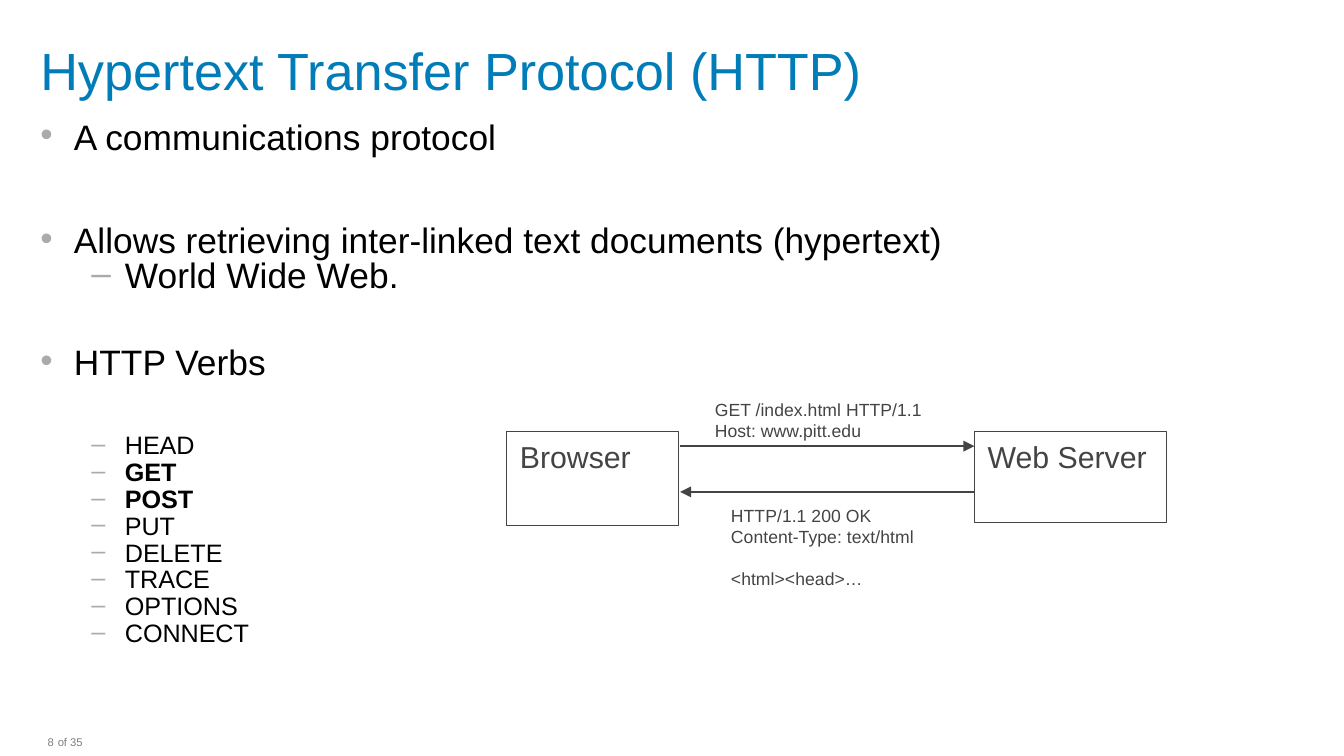
import pptx
import pptx.dml.color
import pptx.enum.shapes
import pptx.enum.text
import pptx.oxml
import pptx.oxml.ns
import pptx.util
from pptx.util import Inches

GRAY, BULLET, BLACK = "444444", "AAAAAA", "000000"
NS = pptx.oxml.ns.nsdecls("a")


def rgb(color):
    return pptx.dml.color.RGBColor.from_string(color)


def add_text(sp, text, size, color=GRAY, bold=False, align="LEFT", spacing=None,
             before=0, bullet=None, left=0):
    """Fill the first paragraph of a shape, or append one if it has text."""
    tf = sp.text_frame
    p = tf.add_paragraph() if tf.text else tf.paragraphs[0]
    p.alignment = getattr(pptx.enum.text.PP_ALIGN, align)
    p.space_before = pptx.util.Pt(before)
    if spacing:
        p.line_spacing = spacing
    if bullet:
        pPr = p._p.get_or_add_pPr()
        pPr.set("marL", str(Inches(left)))
        pPr.set("indent", str(Inches(-0.25)))
        for xml in (f'<a:buClr {NS}><a:srgbClr val="{BULLET}"/></a:buClr>',
                    f'<a:buFont {NS} typeface="Arial"/>',
                    f'<a:buChar {NS} char="{bullet}"/>'):
            pPr.append(pptx.oxml.parse_xml(xml))
    r = p.add_run()
    r.text = text
    r.font.name = "Arial"
    r.font.size = pptx.util.Pt(size)
    r.font.bold = bold
    r.font.color.rgb = rgb(color)


prs = pptx.Presentation()
prs.slide_width = Inches(10)
prs.slide_height = Inches(10 * 9 / 16)
s = prs.slides.add_slide(prs.slide_layouts[6])

# Text boxes: place, inner margins (side, top and bottom), wrapping
boxes = {}
for name, place, side, edge, wrap in [
    ("page", (0.3, 5.48, 0.1, 0.09), 0, 0, True),
    ("total", (0.43, 5.48, 0.19, 0.09), 0, 0, False),
    ("title", (0.3, 0.29, 8.7, 0.49), 0, 0.05, True),
    ("body", (0.3, 0.94, 8.7, 4), 0, 0, True),
    ("request", (5.22, 2.92, 1.8, 0.42), 0.1, 0.05, True),
    ("reply", (5.34, 3.71, 1.58, 0.74), 0.1, 0.05, False),
]:
    sp = s.shapes.add_textbox(*map(Inches, place))
    tf = sp.text_frame
    tf.word_wrap = wrap
    tf.margin_left = tf.margin_right = Inches(side)
    tf.margin_top = tf.margin_bottom = Inches(edge)
    boxes[name] = sp

for name, text, align in [("page", "8", "RIGHT"), ("total", "of 35", "LEFT")]:
    boxes[name].text_frame.vertical_anchor = pptx.enum.text.MSO_ANCHOR.MIDDLE
    add_text(boxes[name], text, 6, "7F7F7F", align=align, spacing=0.9)
add_text(boxes["title"], "Hypertext Transfer Protocol (HTTP)", 28, "007DB8", spacing=0.9)

# Outline: text, level, size, space before
outline = [
    ("A communications protocol", 0, 18.9, 0),
    ("Allows retrieving inter-linked text documents (hypertext)", 0, 18.9, 39.5),
    ("World Wide Web.", 1, 18.9, 3),
    ("HTTP Verbs", 0, 18.9, 30.5),
]
verbs = ["HEAD", "GET", "POST", "PUT", "DELETE", "TRACE", "OPTIONS", "CONNECT"]
outline += [(verb, 1, 13.5, 3 if i else 30.5) for i, verb in enumerate(verbs)]
for text, level, size, before in outline:
    add_text(boxes["body"], text, size, BLACK, bold=text in ("GET", "POST"), spacing=0.7,
             before=before, bullet="•–"[level], left=(0.25, 0.63)[level])

# Diagram: two machines and the messages between them
for text, place in [("Browser", (3.77, 3.21, 1.28, 0.7)),
                    ("Web Server", (7.25, 3.21, 1.43, 0.68))]:
    sp = s.shapes.add_shape(pptx.enum.shapes.MSO_SHAPE.RECTANGLE, *map(Inches, place))
    sp.shadow.inherit = False
    sp.fill.background()
    sp.line.color.rgb = rgb(GRAY)
    sp.line.width = pptx.util.Pt(0.75)
    sp.text_frame.word_wrap = True
    sp.text_frame.vertical_anchor = pptx.enum.text.MSO_ANCHOR.TOP
    add_text(sp, text, 16.2)

for start, end, y in [(5.06, 7.25, 3.32), (7.25, 5.06, 3.66)]:
    arrow = s.shapes.add_connector(pptx.enum.shapes.MSO_CONNECTOR.STRAIGHT,
                                   Inches(start), Inches(y), Inches(end), Inches(y))
    arrow.line.color.rgb = rgb(GRAY)
    arrow.line.width = pptx.util.Pt(0.75)
    arrow.line._get_or_add_ln().append(
        pptx.oxml.parse_xml(f'<a:tailEnd {NS} type="triangle"/>'))
    arrow._element.spPr.append(pptx.oxml.parse_xml(f"<a:effectLst {NS}/>"))

for name, text, before in [
    ("request", "GET /index.html HTTP/1.1", 0),
    ("request", "Host: www.pitt.edu", 0),
    ("reply", "HTTP/1.1 200 OK", 0),
    ("reply", "Content-Type: text/html", 0),
    ("reply", "<html><head>…", 11),
]:
    add_text(boxes[name], text, 9.45, before=before)

prs.save("out.pptx")
